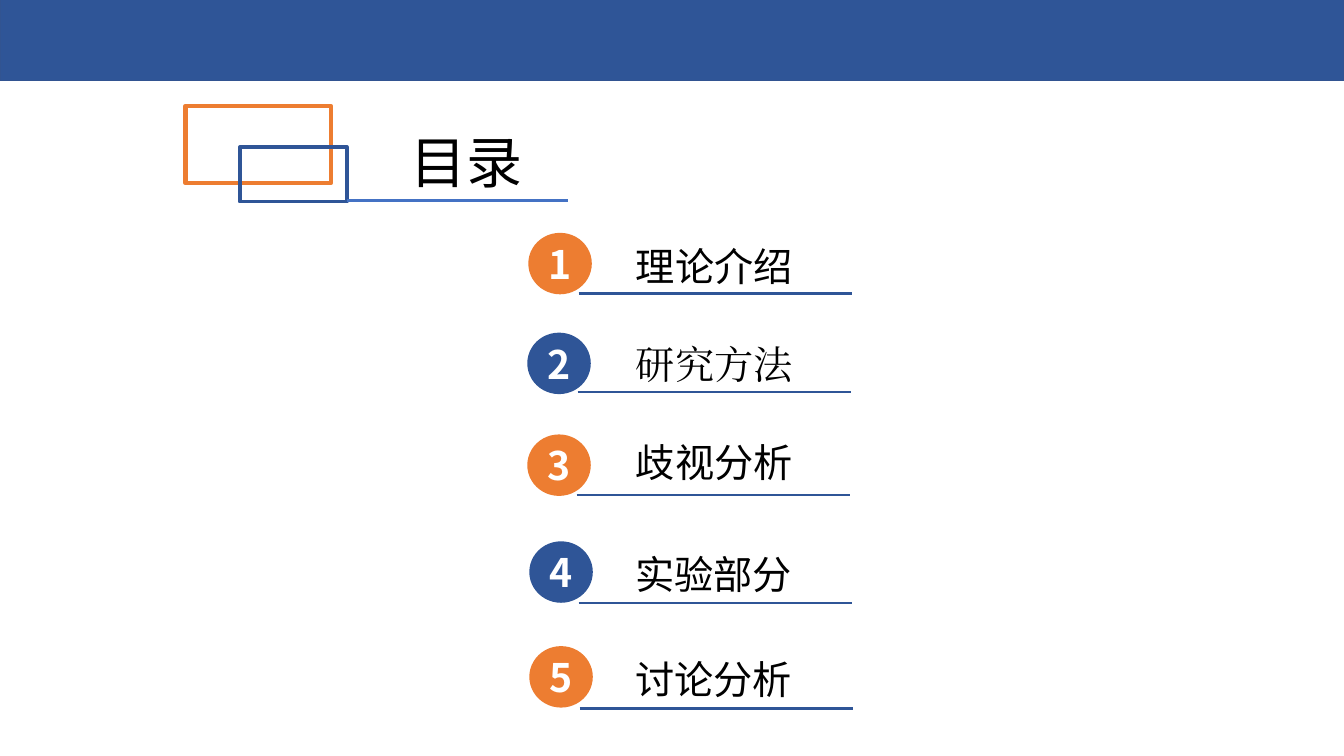
import pptx
import pptx.dml.color
import pptx.enum.shapes
import pptx.enum.text
import pptx.oxml.ns
import pptx.util
from lxml import etree

Inches = pptx.util.Inches
SHAPES = pptx.enum.shapes.MSO_SHAPE
NAVY, ORANGE, BLUE = "2F5597", "ED7D31", "4472C4"
SANS, SERIF = "Noto Sans CJK SC", "Times New Roman"

# Topic, font, badge (left, top), label (left, top), rule (left, top)
TOPICS = [
    ("理论介绍", SANS, (5.24, 2.31), (6.21, 2.35), (5.74, 2.91)),
    ("研究方法", SERIF, (5.23, 3.3), (6.21, 3.33), (5.73, 3.89)),
    ("歧视分析", SANS, (5.23, 4.31), (6.21, 4.3), (5.72, 4.91)),
    ("实验部分", SANS, (5.25, 5.37), (6.2, 5.41), (5.74, 5.98)),
    ("讨论分析", SANS, (5.25, 6.41), (6.2, 6.45), (5.75, 7.03)),
]


def rgb(hex_colour):
    return pptx.dml.color.RGBColor.from_string(hex_colour)


def add_figure(slide, preset, box, fill=None, line=None, width=1):
    figure = slide.shapes.add_shape(preset, *map(Inches, box))
    figure.shadow.inherit = False
    if fill:
        figure.fill.solid()
        figure.fill.fore_color.rgb = rgb(fill)
    else:
        figure.fill.background()
    if line:
        figure.line.color.rgb = rgb(line)
        figure.line.width = pptx.util.Pt(width)
    else:
        figure.line.fill.background()
    return figure


def add_rule(slide, left, top, length, colour, width):
    """Draw a horizontal line without a shadow."""
    rule = slide.shapes.add_connector(
        pptx.enum.shapes.MSO_CONNECTOR.STRAIGHT,
        Inches(left), Inches(top), Inches(left + length), Inches(top))
    rule.line.color.rgb = rgb(colour)
    rule.line.width = pptx.util.Pt(width)
    etree.SubElement(rule._element.spPr, pptx.oxml.ns.qn("a:effectLst"))


def write(frame, words, size, font=SANS, colour="000000", bold=False):
    """Fill a text frame, using one font for Latin and East Asian letters."""
    frame.text = words
    run = frame.paragraphs[0].runs[0]
    run.font.size = pptx.util.Pt(size)
    run.font.name = font
    run.font.bold = bold
    run.font.color.rgb = rgb(colour)
    east_asian = etree.SubElement(run.font._element, pptx.oxml.ns.qn("a:ea"))
    east_asian.set("typeface", font)


def add_label(slide, box, words, size, font=SANS):
    frame = slide.shapes.add_textbox(*map(Inches, box)).text_frame
    write(frame, words, size, font)
    frame.word_wrap = False
    frame.auto_size = pptx.enum.text.MSO_AUTO_SIZE.SHAPE_TO_FIT_TEXT


def add_heading(slide, left, top):
    """Place the two overlapping frames, the title and its underline."""
    add_label(slide, (left + 2.13, top + 0.17, 1.32, 0.77), "目录", 40)
    add_figure(slide, SHAPES.RECTANGLE, (left, top, 1.44, 0.77),
               line=ORANGE, width=3)
    add_figure(slide, SHAPES.RECTANGLE, (left + 0.54, top + 0.41, 1.06, 0.54),
               line=NAVY, width=2.75)
    add_rule(slide, left + 1.6, top + 0.94, 2.19, BLUE, 2.75)


def add_topic(slide, number, topic, font, badge_at, label_at, rule_at):
    badge = add_figure(slide, SHAPES.OVAL, (*badge_at, 0.63, 0.61),
                       fill=ORANGE if number % 2 else NAVY)
    frame = badge.text_frame
    write(frame, str(number), 28, colour="FFFFFF", bold=True)
    frame.margin_left = frame.margin_right = 0
    frame.margin_top = frame.margin_bottom = 0
    frame.vertical_anchor = pptx.enum.text.MSO_ANCHOR.MIDDLE
    frame.paragraphs[0].alignment = pptx.enum.text.PP_ALIGN.CENTER
    add_rule(slide, *rule_at, 2.71, NAVY, 1.75)
    add_label(slide, (*label_at, 1.77, 0.57), topic, 28, font)


def main():
    deck = pptx.Presentation()
    deck.slide_width, deck.slide_height = Inches(13.33), Inches(7.5)
    slide = deck.slides.add_slide(deck.slide_layouts[6])
    add_figure(slide, SHAPES.RECTANGLE, (0, -0.02, 13.33, 0.82),
               fill=NAVY, line="325491")
    add_heading(slide, 1.84, 1.05)
    for number, topic in enumerate(TOPICS, 1):
        add_topic(slide, number, *topic)
    deck.save("out.pptx")


if __name__ == "__main__":
    main()
